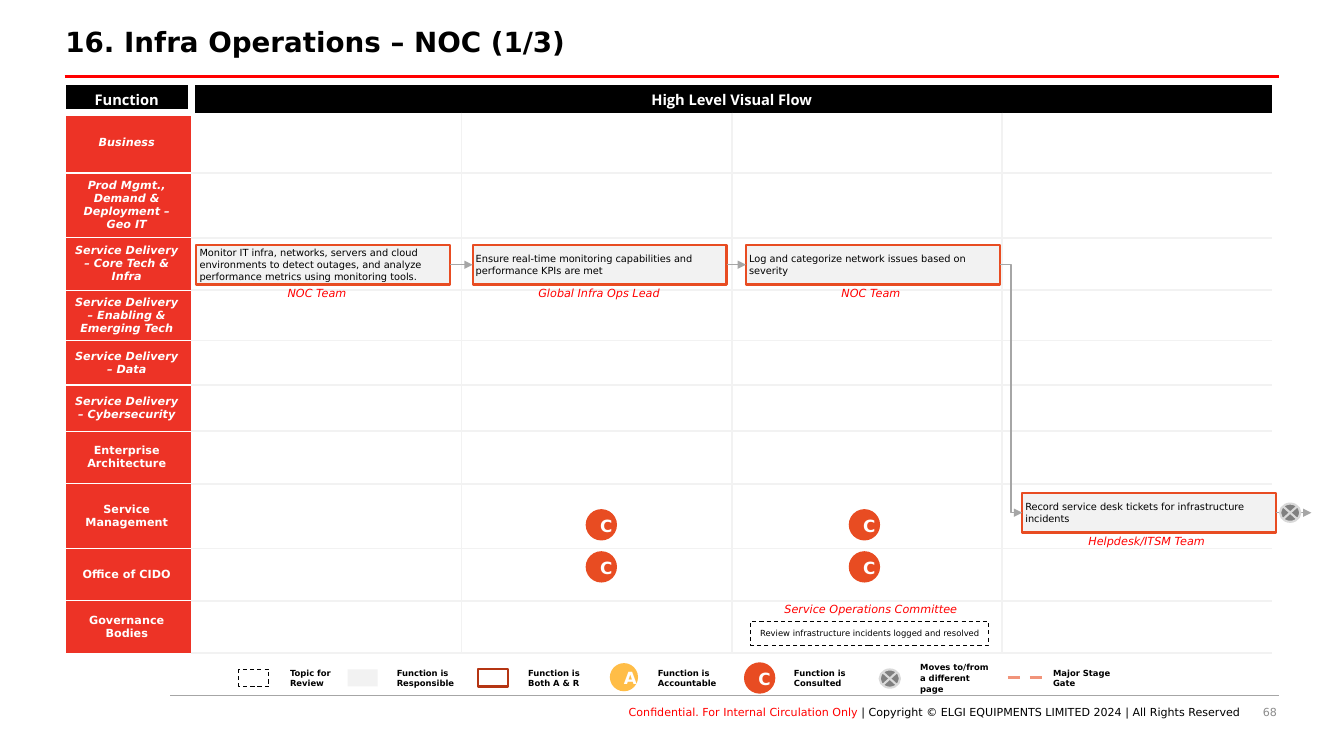
"""Builds the NOC operations swim-lane slide."""
from lxml import etree
from pptx import Presentation
from pptx import util as u
from pptx.dml.color import RGBColor
from pptx.enum import dml, shapes, text
from pptx.oxml.ns import qn

COLORS = {"black": "000000", "white": "FFFFFF", "red": "FF0000", "lane": "ED3326",
          "grid": "F2F2F2", "orange": "E84C22", "rust": "B53513", "amber": "FFBD47",
          "salmon": "F1947A", "gray": "A6A6A6", "dark": "808080", "light": "D9D9D9",
          "page": "8C8C8C"}
FONT, HEAD_FONT = "DejaVu Sans", "Open Sans"
LEFT, CENTER, RIGHT = text.PP_ALIGN.LEFT, text.PP_ALIGN.CENTER, text.PP_ALIGN.RIGHT
RECT, OVAL = shapes.MSO_SHAPE.RECTANGLE, shapes.MSO_SHAPE.OVAL
JUNCTION = shapes.MSO_SHAPE.FLOWCHART_SUMMING_JUNCTION
STRAIGHT, ELBOW = shapes.MSO_CONNECTOR.STRAIGHT, shapes.MSO_CONNECTOR.ELBOW

TITLE = "16. Infra Operations – NOC (1/3)"
FOOTER = [("Conﬁdential. For Internal Circulation Only ", "red"),
          ("| Copyright © ELGI EQUIPMENTS LIMITED 2024 | All Rights Reserved", "black")]
PAGE = "68"
HEADERS = ["Function", "High Level Visual Flow"]
LANES = [("Business", 1.52, True),
         ("Prod Mgmt., Demand & Deployment – Geo IT", 1.63, True),
         ("Service Delivery – Core Tech & Infra", 1.32, True),
         ("Service Delivery – Enabling & Emerging Tech", 1.27, True),
         ("Service Delivery – Data", 1.12, True),
         ("Service Delivery – Cybersecurity", 1.17, True),
         ("Enterprise Architecture", 1.32, False),
         ("Service Management", 1.63, False),
         ("Office of CIDO", 1.32, False),
         ("Governance Bodies", 1.32, False)]
COLS = [3.25] + [6.81] * 4
STEPS = [("Monitor IT infra, networks, servers and cloud environments to detect outages, "
          "and analyze performance metrics using monitoring tools.", 4.95, 6.17, "NOC Team", 7.99),
         ("Ensure real-time monitoring capabilities and performance KPIs are met",
          11.91, 6.17, "Global Infra Ops Lead", 15.1),
         ("Log and categorize network issues based on severity", 18.8, 6.17, "NOC Team", 21.95),
         ("Record service desk tickets for infrastructure incidents",
          25.76, 12.42, "Helpdesk/ITSM Team", 28.9)]
COMMITTEE = ("Service Operations Committee", 21.95, 15.04)
REVIEW = "Review infrastructure incidents logged and resolved"
CONSULTED = [(x, y) for x in (14.76, 21.39) for y in (12.83, 13.89)]
LEGEND = [(7.06, ["Topic for", "Review"]), (9.75, ["Function is Responsible"]),
          (13.06, ["Function is Both A & R"]), (16.33, ["Function is Accountable"]),
          (19.76, ["Function is Consulted"]), (22.94, ["Moves to/from a different page"]),
          (26.29, ["Major Stage Gate"])]

prs = Presentation()
prs.slide_width, prs.slide_height = u.Cm(33.87), u.Cm(19.05)
slide = prs.slides.add_slide(prs.slide_layouts[6])


def rgb(name):
    return RGBColor.from_string(COLORS[name])


def add_run(p, words, size, color, bold=False, italic=False, font=FONT):
    r = p.add_run()
    r.text = words
    r.font.name, r.font.size, r.font.color.rgb = font, u.Pt(size), rgb(color)
    r.font.bold, r.font.italic = bold, italic


def write(s, paragraphs, size, align=LEFT, ins=(0, 0, 0, 0), middle=True, spacing=None,
          wrap=True, **style):
    tf = s.text_frame
    tf.word_wrap = wrap
    tf.margin_left, tf.margin_top, tf.margin_right, tf.margin_bottom = map(u.Cm, ins)
    tf.vertical_anchor = text.MSO_ANCHOR.MIDDLE if middle else text.MSO_ANCHOR.TOP
    for i, runs in enumerate(paragraphs):
        p = tf.add_paragraph() if i else tf.paragraphs[0]
        p.alignment = align
        if spacing:
            p.line_spacing = spacing
        for words, color in runs:
            add_run(p, words, size, color, **style)


def add_box(x, y, w, h):
    return slide.shapes.add_textbox(u.Cm(x), u.Cm(y), u.Cm(w), u.Cm(h))


def add_shape(kind, x, y, w, h, fill=None, line=None, width=1.5, dash=False):
    s = slide.shapes.add_shape(kind, u.Cm(x), u.Cm(y), u.Cm(w), u.Cm(h))
    s.shadow.inherit = False
    if fill:
        s.fill.solid()
        s.fill.fore_color.rgb = rgb(fill)
    else:
        s.fill.background()
    if line:
        s.line.color.rgb, s.line.width = rgb(line), u.Pt(width)
        if dash:
            s.line.dash_style = dml.MSO_LINE.DASH
    else:
        s.line.fill.background()
    return s


def add_line(x1, y1, x2, y2, color="gray", width=1, kind=STRAIGHT, dash=False, arrow=False):
    c = slide.shapes.add_connector(kind, u.Cm(x1), u.Cm(y1), u.Cm(x2), u.Cm(y2))
    c.line.color.rgb, c.line.width = rgb(color), u.Pt(width)
    if dash:
        c.line.dash_style = dml.MSO_LINE.DASH
    if arrow:
        etree.SubElement(c.line._get_or_add_ln(), qn("a:tailEnd"), type="triangle")
    etree.SubElement(c._element.spPr, qn("a:effectLst"))
    return c


def add_badge(x, y, d, letter, fill):
    s = add_shape(OVAL, x, y, d, d, fill)
    write(s, [[(letter, "white")]], 12, CENTER, (.25,) * 4, spacing=1.06, bold=True)


def add_role(words, center, y):
    write(add_box(center - 2.67, y, 5.34, .61), [[(words, "red")]], 8, CENTER,
          (.25, .13, .25, .13), middle=False, wrap=False, italic=True)


def style_cell(cell, fill, borders):
    tc_pr = cell._tc.get_or_add_tcPr()
    for side in "LRTB":
        color, width = borders.get(side, (None, 0))
        ln = etree.SubElement(tc_pr, qn("a:ln" + side), w=str(u.Pt(width)))
        paint = etree.SubElement(ln, qn("a:solidFill" if color else "a:noFill"))
        if color:
            etree.SubElement(paint, qn("a:srgbClr"), val=COLORS[color])
    if fill:
        cell.fill.solid()
        cell.fill.fore_color.rgb = rgb(fill)
    else:
        cell.fill.background()


def fill_cell(cell, words, size, **style):
    cell.vertical_anchor = text.MSO_ANCHOR.MIDDLE
    p = cell.text_frame.paragraphs[0]
    p.alignment = CENTER
    add_run(p, words, size, "white", bold=True, **style)


def add_lanes():
    heights = [.71] + [h for _, h, _ in LANES]
    table = slide.shapes.add_table(len(heights), len(COLS), u.Cm(1.57), u.Cm(2.13),
                                   u.Cm(sum(COLS)), u.Cm(sum(heights))).table
    table.first_row = table.horz_banding = False
    for col, w in zip(table.columns, COLS):
        col.width = u.Cm(w)
    for row, h in zip(table.rows, heights):
        row.height = u.Cm(h)
    thick, thin, grid = ("white", 6), ("white", 1), ("grid", 1.5)
    table.cell(0, 1).merge(table.cell(0, 4))
    for c in range(len(COLS)):
        style_cell(table.cell(0, c), "black",
                   {"T": thin} if c else {"L": thick, "T": thin, "R": thick, "B": thick})
    table.cell(0, 1)._tc.tcPr.remove(table.cell(0, 1)._tc.tcPr.find(qn("a:lnL")))
    for c, words in enumerate(HEADERS):
        fill_cell(table.cell(0, c), words, 10.5, font=HEAD_FONT)
    for i, (name, _, italic) in enumerate(LANES, 1):
        label = table.cell(i, 0)
        style_cell(label, "lane", {"L": thick, "T": thin if i > 1 else thick, "B": thin})
        fill_cell(label, name, 8, italic=italic)
        for c in range(1, len(COLS)):
            sides = "B" + "T" * (i > 1) + "L" * (c > 1) + "R" * (c < 4)
            style_cell(table.cell(i, c), None, dict.fromkeys(sides, grid))


def add_legend():
    add_shape(RECT, 6.02, 16.87, .76, .43, None, "black", .75, dash=True)
    add_shape(RECT, 8.76, 16.87, .76, .43, "grid")
    add_shape(RECT, 12.04, 16.87, .76, .43, None, "rust")
    add_badge(15.37, 16.71, .71, "A", "amber")
    add_badge(18.75, 16.69, .79, "C", "orange")
    add_shape(JUNCTION, 22.17, 16.87, .51, .46, "dark", "light")
    add_line(25.4, 17.07, 26.29, 17.07, "salmon", 2.25, dash=True)
    for x, lines in LEGEND:
        write(add_box(x, 16.66, 2.29, .84), [[(words, "black")] for words in lines], 6,
              ins=(.25,) * 4, spacing=1.06, bold=True)


def add_flow():
    boxes = []
    for words, x, y, role, center in STEPS:
        s = add_shape(RECT, x, y, 6.4, 1, "grid", "orange")
        write(s, [[(words, "black")]], 7, ins=(.08, 0, 0, 0))
        add_role(role, center, y + .91)
        boxes.append(s)
    for a, b in zip(boxes, boxes[1:]):
        c = add_line(0, 0, 1, 1, kind=STRAIGHT if a.top == b.top else ELBOW, arrow=True)
        c.begin_connect(a, 3)
        c.end_connect(b, 1)
    exit_line = add_line(32.16, 12.92, 33.05, 12.92, arrow=True)
    exit_line.begin_connect(boxes[-1], 3)
    add_shape(JUNCTION, 32.26, 12.69, .51, .46, "dark", "light")
    review = add_shape(RECT, 18.92, 15.65, 5.99, .61, "white", "black", .75, dash=True)
    write(review, [[(REVIEW, "black")]], 6, CENTER, (.13, 0, .13, 0), spacing=1.06)
    add_role(*COMMITTEE)
    for x, y in CONSULTED:
        add_badge(x, y, .79, "C", "orange")


write(add_box(24.56, 17.78, 7.62, .51), [[(PAGE, "page")]], 7.9, RIGHT, middle=False)
write(add_box(6.25, 17.78, 25, .51), [FOOTER], 7.9, RIGHT, middle=False)
add_line(4.29, 17.53, 32.23, 17.53, width=.5)
add_line(1.63, 1.93, 32.23, 1.93, "red", 2.25)
write(add_box(1.65, .58, 30.5, 1.04), [[(TITLE, "black")]], 19.8, ins=(0, .13, .25, .13),
      middle=False, spacing=.9, bold=True)
add_lanes()
add_legend()
add_flow()
prs.save("out.pptx")
